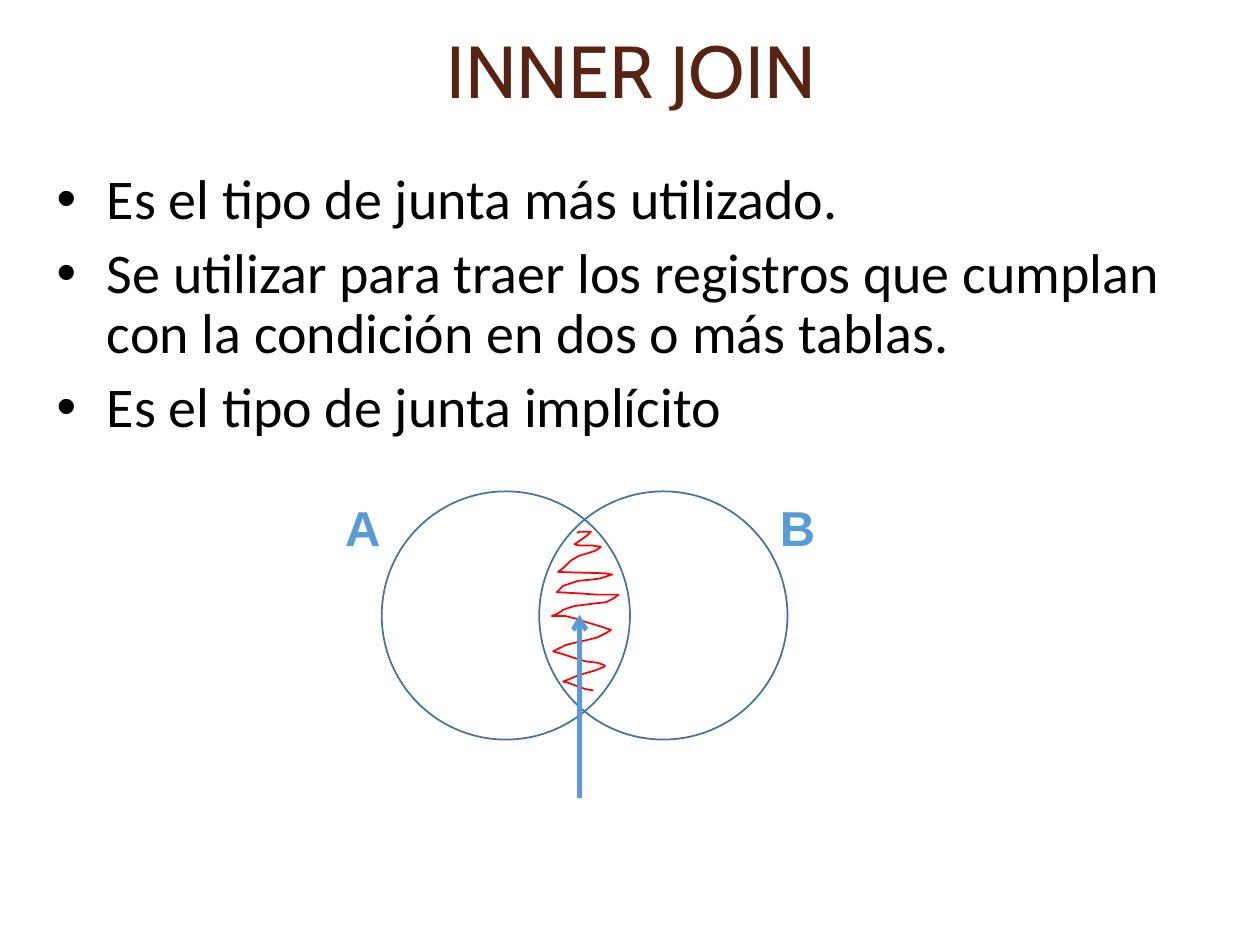
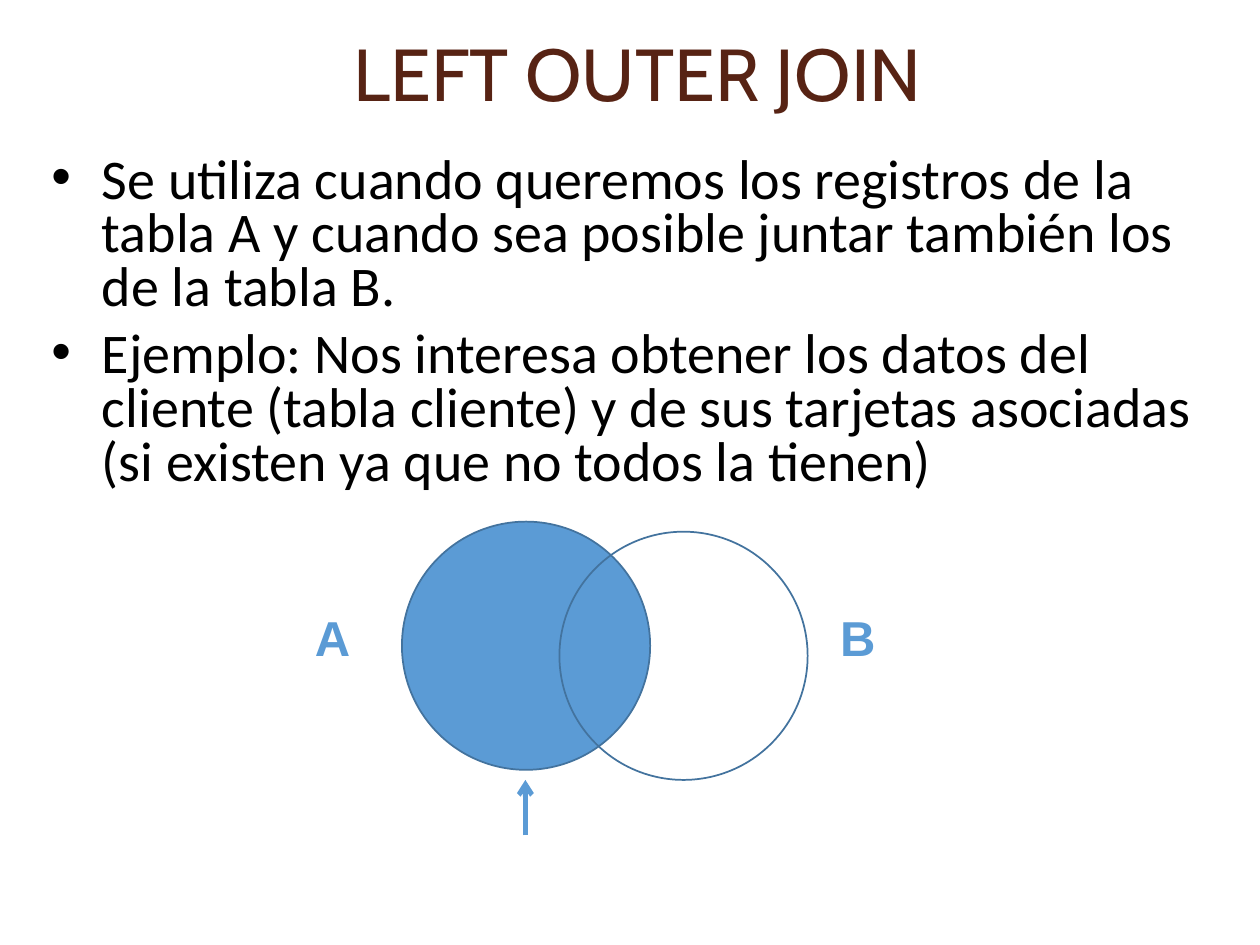
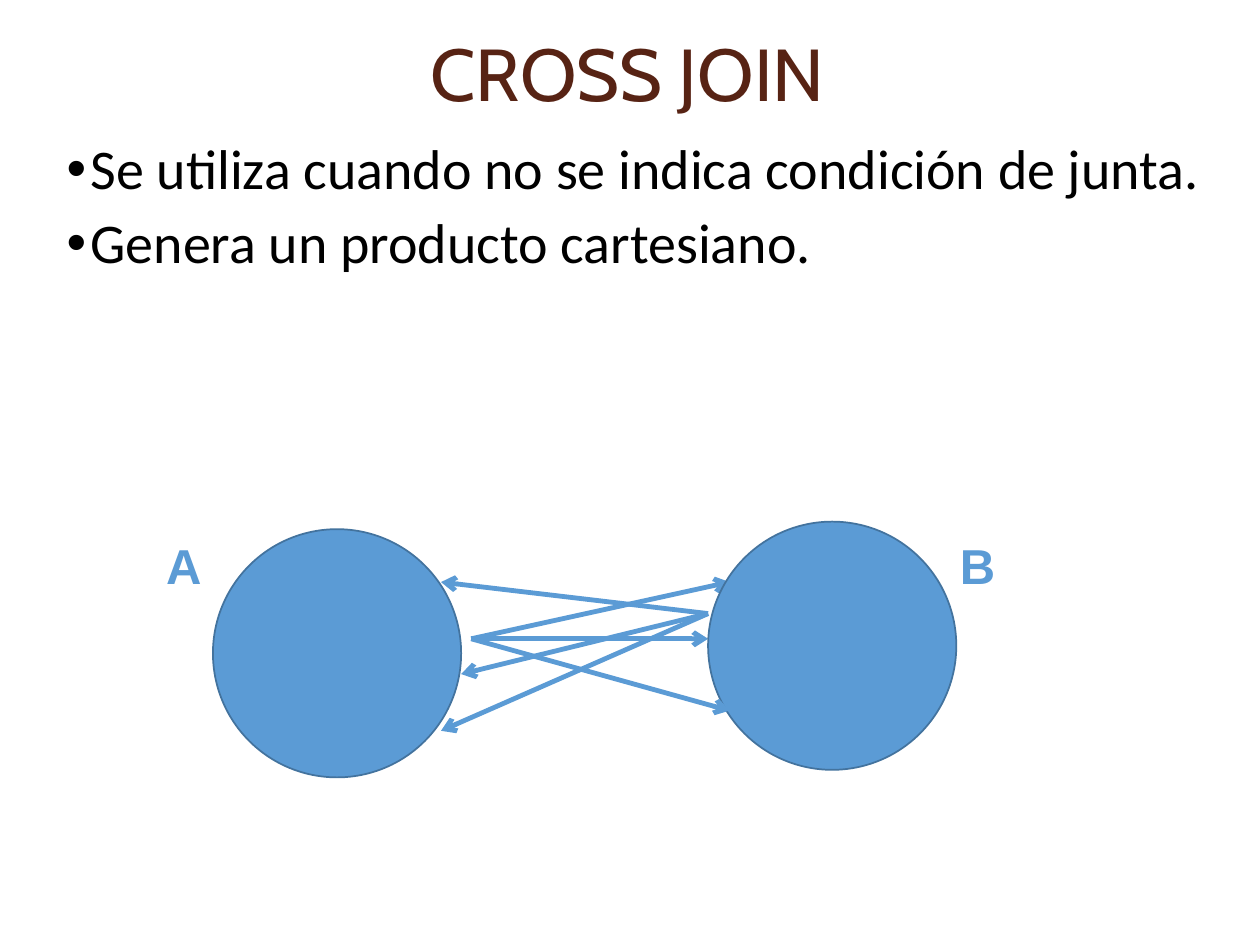
from lxml import etree
from pptx import Presentation
from pptx.dml.color import RGBColor
from pptx.enum.shapes import MSO_CONNECTOR, MSO_SHAPE
from pptx.enum.text import MSO_ANCHOR, PP_ALIGN
from pptx.oxml.ns import qn
from pptx.util import Inches, Pt

BROWN = RGBColor(0x57, 0x23, 0x14)
BLACK = RGBColor(0x00, 0x00, 0x00)
BLUE = RGBColor(0x5B, 0x9B, 0xD5)
DARK_BLUE = RGBColor(0x43, 0x73, 0x9E)
RED = RGBColor(0xFF, 0x00, 0x00)

OVAL = MSO_SHAPE.OVAL
STRAIGHT = MSO_CONNECTOR.STRAIGHT
MIDDLE = MSO_ANCHOR.MIDDLE
TOP = MSO_ANCHOR.TOP
CENTER = PP_ALIGN.CENTER

# Grid: 100 columns by 75 rows of square cells
COLUMNS, ROWS = 100, 75
CELL = Inches(0.1)
DIAMETER = 19.7
LABEL_SIZE = (7.9, 5.7)

# Zigzag that shades the intersection, as (column, row) points
SCRIBBLE = [
    (45.8, 42.3), (46, 42.2), (46.9, 42.2), (46.6, 42.5), (46.2, 42.8),
    (45.6, 43.2), (46, 43.3), (47, 43.3), (47.7, 43.4), (47.3, 43.7),
    (46.7, 43.9), (46, 44.1), (45.3, 44.5), (44.8, 45), (44.3, 45.4),
    (47.9, 45.5), (48.6, 45.6), (47.7, 45.9), (47, 46), (45.9, 46.1),
    (45.3, 46.3), (44.7, 46.5), (44.2, 47), (46, 47.1), (47.4, 47.2),
    (49.1, 47.2), (48.7, 47.5), (48.1, 47.8), (47.2, 47.9), (45.6, 48.1),
    (44.7, 48.4), (44.3, 48.7), (43.8, 48.9), (44.9, 48.9), (45.7, 49.1),
    (46.6, 49.4), (47.6, 49.7), (48.5, 50), (48.2, 50.2), (47.4, 50.6),
    (46.6, 50.8), (45.7, 51), (44.9, 51.2), (44.3, 51.5), (43.9, 51.7),
    (44.6, 51.9), (45.5, 52.2), (46.5, 52.5), (47.4, 52.6), (48, 52.8),
    (48, 52.9), (47.3, 53.2), (46.6, 53.4), (45.9, 53.6), (45.2, 53.9),
    (44.7, 54.1), (45.1, 54.2), (45.9, 54.5), (46.5, 54.7), (47.1, 54.8),
]


class JoinDeck:
    """Shared style, the current slide and one method per kind of element."""

    def __init__(self):
        self.deck = Presentation()
        self.deck.slide_width = COLUMNS * CELL
        self.deck.slide_height = ROWS * CELL
        self.page = None

    def grid(self, *cells):
        return [round(cell * CELL) for cell in cells]

    def add_page(self):
        self.page = self.deck.slides.add_slide(self.deck.slide_layouts[6])

    def text(self, area, lines, font, size, color, bold=False, anchor=TOP):
        box = self.page.shapes.add_textbox(*self.grid(*area))
        frame = box.text_frame
        frame.word_wrap = True
        frame.vertical_anchor = anchor
        frame.text = "\n".join(lines)
        for para in frame.paragraphs:
            for span in para.runs:
                span.font.name = font
                span.font.size = Pt(size)
                span.font.bold = bold
                span.font.color.rgb = color
        return frame.paragraphs

    def title(self, area, words):
        para, = self.text(area, [words], "Cabin", 42, BROWN, anchor=MIDDLE)
        para.alignment = CENTER
        para.line_spacing = 0.9

    def bullets(self, area, lines, indent=4, spacing=0.9):
        hang, = self.grid(indent)
        paras = self.text(area, lines, "Calibri", 32, BLACK)
        for index, para in enumerate(paras):
            para.line_spacing = spacing
            para.space_before = Pt(7.5 if index else 0)
            properties = para._p.get_or_add_pPr()
            properties.set("marL", str(hang))
            properties.set("indent", str(-hang))
            etree.SubElement(properties, qn("a:buFont")).set("typeface", "Arial")
            etree.SubElement(properties, qn("a:buChar")).set("char", "•")

    def outline(self, shape, color, fill=None):
        shape.shadow.inherit = False
        if fill is None:
            shape.fill.background()
        else:
            shape.fill.solid()
            shape.fill.fore_color.rgb = fill
        shape.line.color.rgb = color
        shape.line.width = Pt(1)

    def circle(self, column, row, fill=None):
        area = self.grid(column, row, DIAMETER, DIAMETER)
        self.outline(self.page.shapes.add_shape(OVAL, *area), DARK_BLUE, fill)

    def scribble(self, points):
        start, *rest = [self.grid(*point) for point in points]
        builder = self.page.shapes.build_freeform(*start)
        builder.add_line_segments(rest, close=False)
        self.outline(builder.convert_to_shape(), RED)

    def arrow(self, start, end):
        line = self.page.shapes.add_connector(STRAIGHT, *self.grid(*start, *end))
        line.line.color.rgb = BLUE
        line.line.width = Pt(2.75)
        properties = line.element.spPr
        stroke = properties.find(qn("a:ln"))
        etree.SubElement(stroke, qn("a:tailEnd")).set("type", "arrow")
        etree.SubElement(properties, qn("a:effectLst"))

    def table_names(self, row, left_column, right_column):
        for name, column in (("A", left_column), ("B", right_column)):
            self.text((column, row, *LABEL_SIZE), [name], "Arial", 28, BLUE, bold=True)


def inner_join(joins):
    joins.add_page()
    joins.title((5.3, 0, 89.6, 11.8), "INNER JOIN")
    joins.bullets((3.5, 13.1, 94.2, 24.4), [
        "Es el tipo de junta más utilizado.",
        "Se utilizar para traer los registros que cumplan con la condición "
        "en dos o más tablas.",
        "Es el tipo de junta implícito",
    ])
    # Venn diagram with the intersection shaded
    joins.scribble(SCRIBBLE)
    for column in (42.8, 30.3):
        joins.circle(column, 39)
    joins.arrow((46, 63.3), (46, 48.8))
    joins.table_names(39, 26.4, 60.9)


def left_outer_join(joins):
    joins.add_page()
    joins.title((7.5, 0.5, 86.2, 11.3), "LEFT OUTER JOIN")
    joins.bullets((3.1, 11.9, 94.2, 28.2), [
        "Se utiliza cuando queremos los registros de la tabla A y cuando sea "
        "posible juntar también los de la tabla B.",
        "Ejemplo: Nos interesa obtener los datos del cliente (tabla cliente) y "
        "de sus tarjetas asociadas (si existen ya que no todos la tienen)",
    ], spacing=0.8)
    # Venn diagram with the whole left table filled
    joins.arrow((41.7, 66.3), (41.7, 61.9))
    joins.circle(31.9, 41.4, BLUE)
    joins.circle(44.4, 42.2)
    joins.table_names(47.7, 24, 65.7)


def cross_join(joins):
    joins.add_page()
    joins.title((6.7, 0.3, 86.2, 11.8), "CROSS JOIN")
    joins.bullets((4.3, 10.7, 93.4, 22.6), [
        "Se utiliza cuando no se indica condición de junta.",
        "Genera un producto cartesiano.",
    ], indent=1.9)
    # Every row of each table reaches several rows of the other
    from_a, from_b = (37.4, 50.7), (56.2, 48.7)
    for end in ((56.2, 50.7), (57.9, 46.2)):
        joins.arrow(from_a, end)
    joins.circle(56.2, 41.4, BLUE)
    joins.table_names(42, 12.2, 75.2)
    joins.circle(16.9, 42, BLUE)
    joins.arrow(from_a, (57.9, 56.4))
    for end in ((35, 46.2), (36.6, 53.5), (35, 58)):
        joins.arrow(from_b, end)


def main():
    joins = JoinDeck()
    inner_join(joins)
    left_outer_join(joins)
    cross_join(joins)
    joins.deck.save("out.pptx")


if __name__ == "__main__":
    main()
